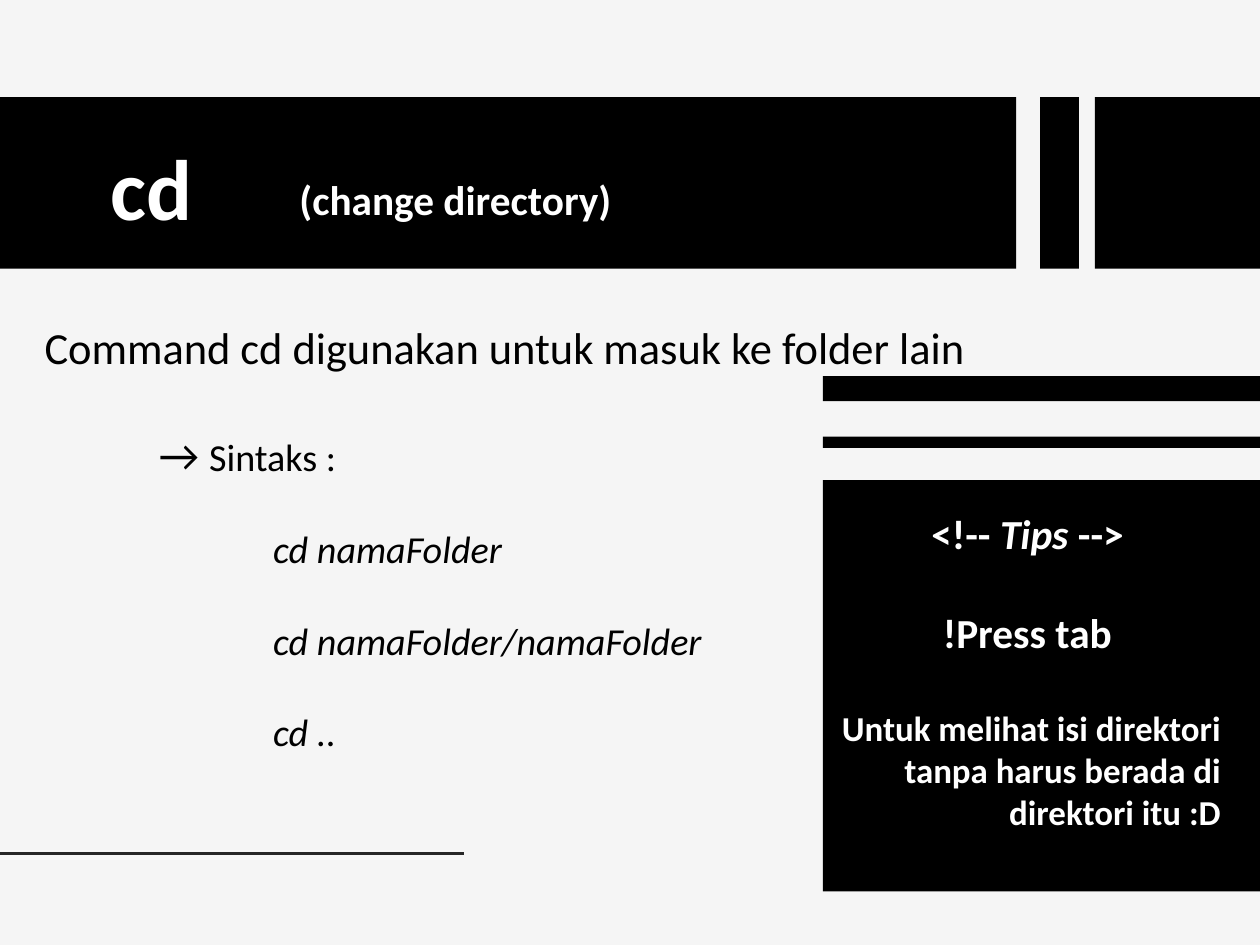
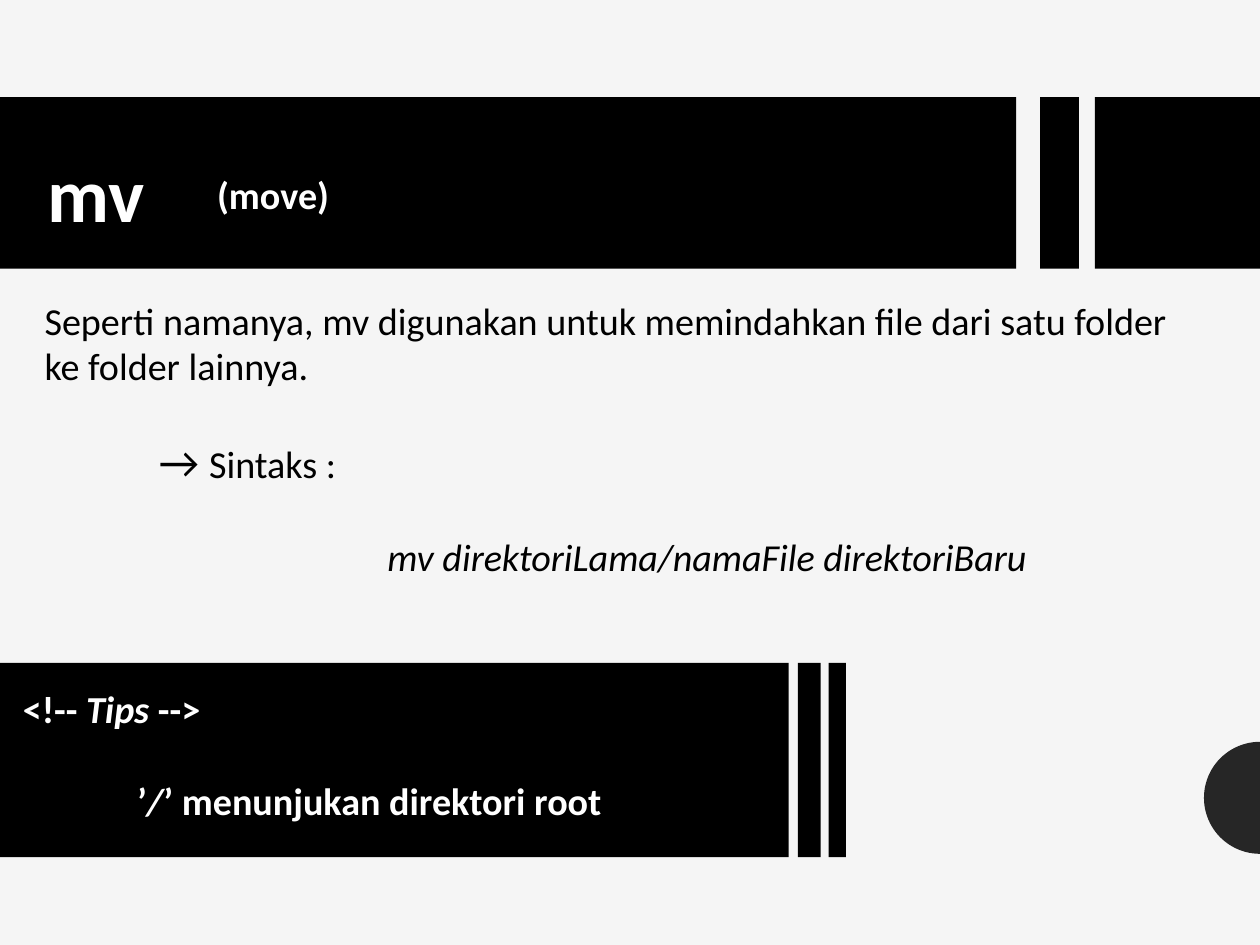
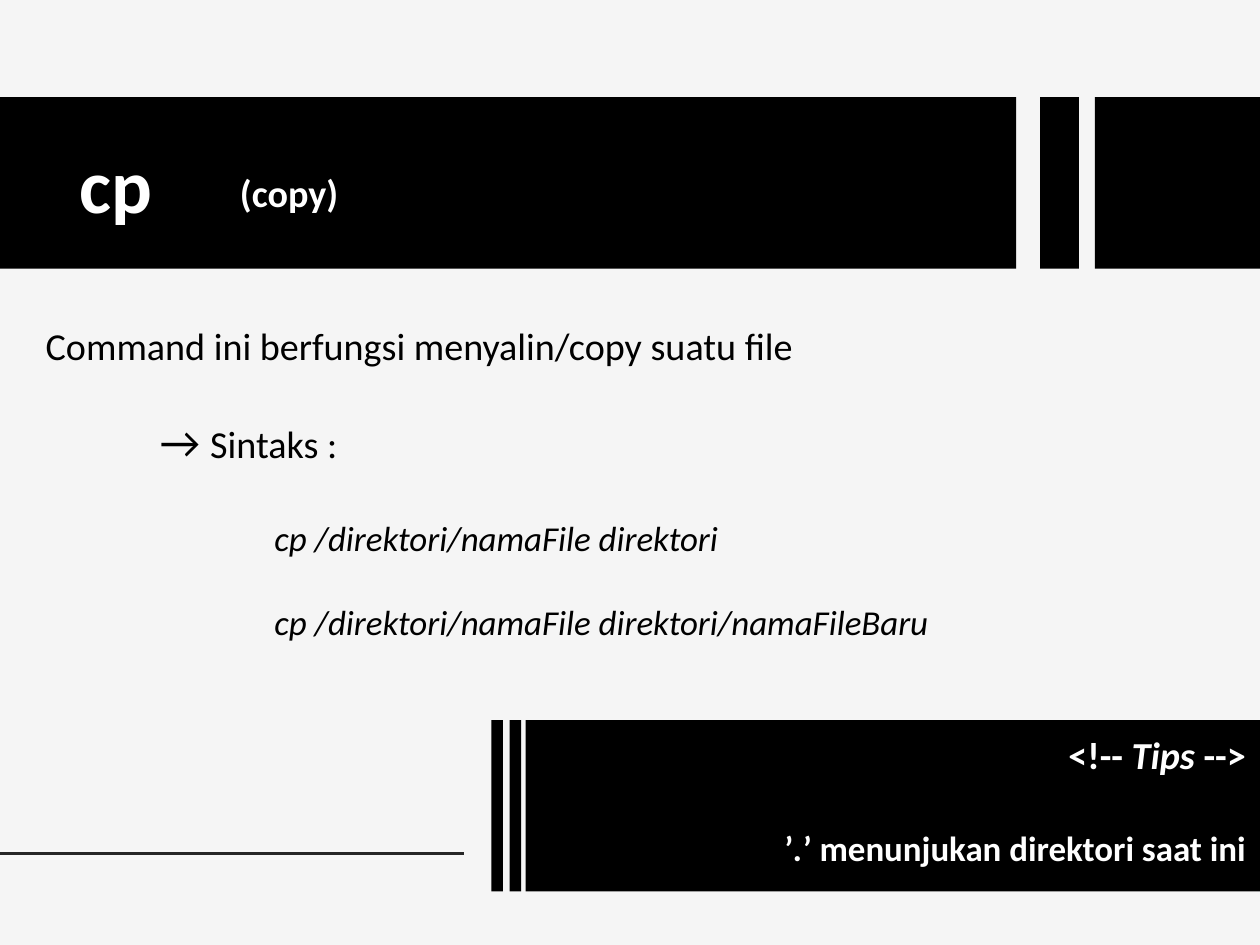
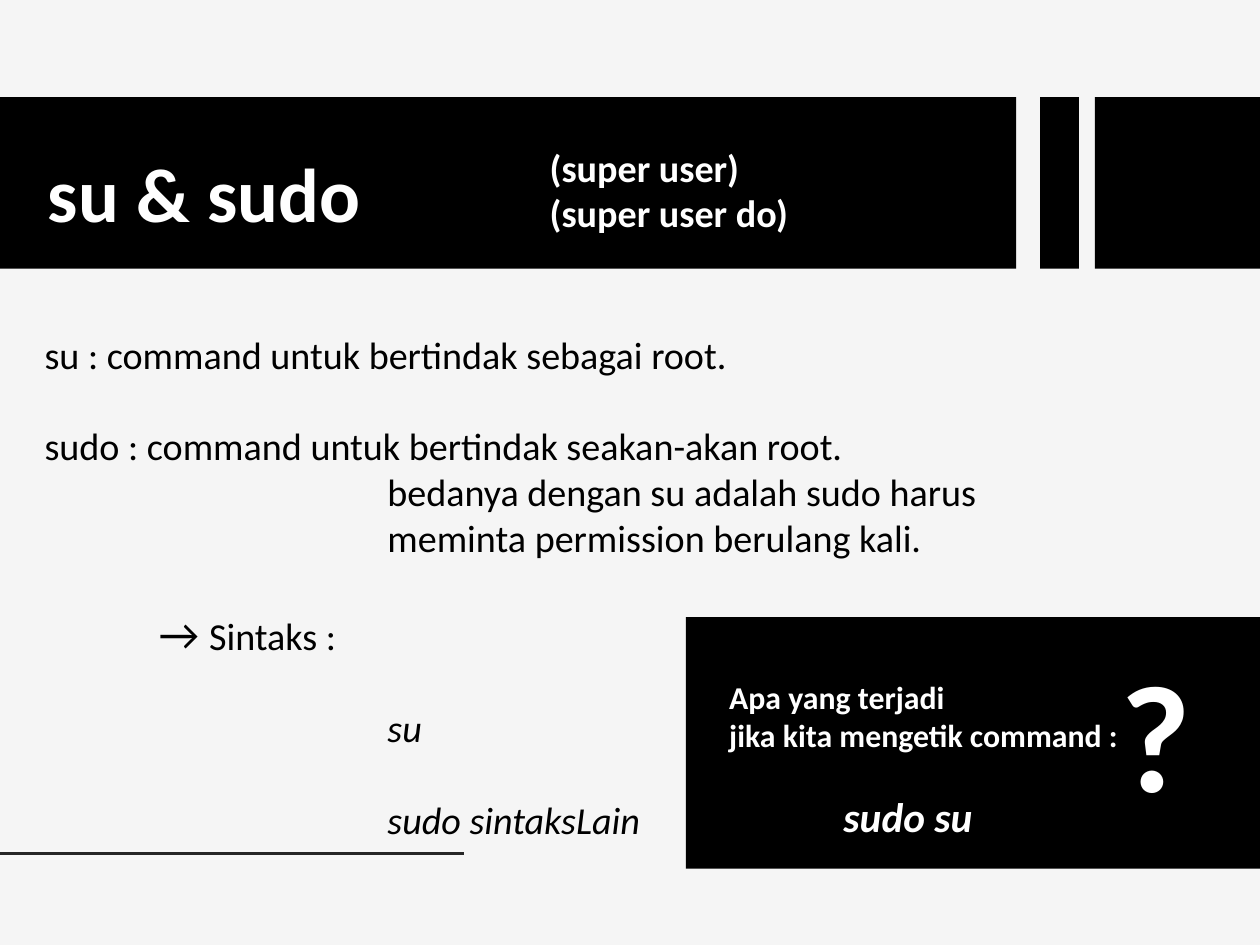
import math

import pptx
import pptx.dml.color
import pptx.enum.shapes
import pptx.enum.text
import pptx.oxml
import pptx.util

WIDTH_CM, HEIGHT_CM = 28, 21
WIDTH = WIDTH_CM / 2.54    # inches, as all other lengths
FONT = "Calibri"
PAPER, BLACK, WHITE, GREY = "F5F5F5", "000000", "FFFFFF", "262626"
TAB = 1.0                  # inches per indent level
LINE = 1.2                 # gap of one line as a share of the text size
TITLE_BAND = (0.85, 1.5)   # top, height
TITLE_BARS = [(0, 8.89), (9.1, 0.34), (9.58, WIDTH - 9.58)]   # left, width
RULE_Y, RULE_END = 7.47, 4.06
DISC_Y, DISC_RADIUS = 6.98, 0.49


def para(text, size=24, gap=0, level=0, italic=False, align="l"):
    """One paragraph; text is a string or a list of (text, size, italic); gap is in points."""
    runs = [(text, size, italic)] if isinstance(text, str) else text
    return {"runs": runs, "gap": gap, "level": level, "align": align}


def gap_of(size):
    return round(size * LINE, 1)


def tips_heading(size, align="l"):
    return para([("<!-- ", size, False), ("Tips", size, True), (" -->", size, False)],
                align=align)


def syntax_heading(gap):
    return para([("→ ", 28, False), ("Sintaks :", 24, False)], gap=gap, level=1)


GAP = gap_of(24)

SLIDES = [
    {
        "title": ("cd", 54, 0.97, 2.08),           # text, size, left, bottom
        "label": (["(change directory)"], 26, 2.62, 1.96),
        "rule": True,
        "body_at": (0.39, 2.8),
        "body": [
            para("Command cd digunakan untuk masuk ke folder lain", 28),
            syntax_heading(gap_of(28)),
            para("cd namaFolder", gap=GAP, level=2, italic=True),
            para("cd namaFolder/namaFolder", gap=GAP, level=2, italic=True),
            para("cd ..", gap=GAP, level=2, italic=True),
        ],
        "panels": [(7.2, top, WIDTH - 7.2, height)
                   for top, height in [(4.2, 3.6), (3.82, 0.1), (3.29, 0.22)]],
        "notes": [((7.3, 4.45, 3.38, 3.1), "top", [
            tips_heading(26, "c"),
            para("!Press tab", 26, gap=gap_of(26), align="c"),
            para("Untuk melihat isi direktori tanpa harus berada di direktori itu :D",
                 22, gap=gap_of(26), align="r"),
        ])],
    },
    {
        "title": ("mv", 48, 0.42, 2.08),
        "label": (["(move)"], 24, 1.9, 1.9),
        "disc": True,
        "body_at": (0.39, 2.6),
        "body": [
            para("Seperti namanya, mv digunakan untuk memindahkan file dari satu folder "
                 "ke folder lainnya."),
            syntax_heading(GAP),
            para("mv direktoriLama/namaFile direktoriBaru", gap=GAP, level=3, italic=True),
        ],
        "panels": [(left, 5.8, width, 1.7)
                   for left, width in [(0, 6.9), (6.98, 0.2), (7.25, 0.15)]],
        "notes": [((0.2, 6.1, 6.5, 1.1), "bottom", [
            tips_heading(24),
            para([("’", 24, False), ("/", 24, True), ("’ menunjukan direktori root", 24, False)],
                 gap=GAP, level=1),
        ])],
    },
    {
        "title": ("cp", 48, 0.7, 2.0),
        "label": (["(copy)"], 24, 2.1, 1.88),
        "rule": True,
        "body_at": (0.4, 2.82),
        "body": [
            para("Command ini berfungsi menyalin/copy suatu file"),
            syntax_heading(GAP),
            para("cp /direktori/namaFile direktori", 22, gap=31, level=2, italic=True),
            para("cp /direktori/namaFile direktori/namaFileBaru", 22, gap=gap_of(22),
                 level=2, italic=True),
        ],
        "panels": [(left, 6.3, width, 1.5)
                   for left, width in [(4.6, WIDTH - 4.6), (4.46, 0.1), (4.3, 0.1)]],
        "notes": [((3.9, 6.5, 7, 1.1), "bottom", [
            tips_heading(24, "r"),
            para([("’", 22, False), (".", 22, True),
                  ("’ menunjukan direktori saat ini", 22, False)], gap=31, align="r"),
        ])],
    },
    {
        "title": ("su & sudo", 48, 0.42, 2.08),
        "label": (["(super user)", "(super user do)"], 24, 4.81, 2.06),
        "rule": True,
        "body_at": (0.39, 2.9),
        "body": [
            para("su : command untuk bertindak sebagai root."),
            para("sudo : command untuk bertindak seakan-akan root.", gap=GAP),
            para("bedanya dengan su adalah sudo harus", level=3),
            para("meminta permission berulang kali.", level=3),
            syntax_heading(GAP),
            para("su", gap=GAP, level=3, italic=True),
            para("sudo sintaksLain", gap=GAP, level=3, italic=True),
        ],
        "panels": [(6, 5.4, WIDTH - 6, 2.2)],
        "notes": [
            ((6.38, 5.66, 3.6, 1.7), "bottom", [
                para("Apa yang terjadi", 20),
                para("jika kita mengetik command :", 20),
                para("sudo su", 26, gap=gap_of(20), level=1, italic=True),
            ]),
            ((9.8, 5.5, 1, 1.7), "bottom", [para("?", 96)]),
        ],
    },
]


def rgb(colour):
    return pptx.dml.color.RGBColor.from_string(colour)


def inches(values):
    return [pptx.util.Inches(value) for value in values]


def paint(shape, colour):
    shape.shadow.inherit = False
    shape.fill.solid()
    shape.fill.fore_color.rgb = rgb(colour)
    shape.line.fill.background()


def add_bar(slide, box):
    bar = slide.shapes.add_shape(pptx.enum.shapes.MSO_SHAPE.RECTANGLE, *inches(box))
    paint(bar, BLACK)


def add_text(slide, box, paragraphs, colour, anchor="top"):
    """Write paragraphs into a box without margins; white text is bold."""
    frame = slide.shapes.add_textbox(*inches(box)).text_frame
    frame.word_wrap = True
    frame.margin_left = frame.margin_right = frame.margin_top = frame.margin_bottom = 0
    frame.vertical_anchor = pptx.enum.text.MSO_ANCHOR[anchor.upper()]
    aligns = pptx.enum.text.PP_ALIGN
    for index, content in enumerate(paragraphs):
        paragraph = frame.add_paragraph() if index else frame.paragraphs[0]
        paragraph.alignment = {"l": aligns.LEFT, "c": aligns.CENTER,
                               "r": aligns.RIGHT}[content["align"]]
        paragraph.space_before = pptx.util.Pt(content["gap"])
        if content["level"]:
            indent = pptx.util.Inches(content["level"] * TAB)
            paragraph._p.get_or_add_pPr().set("marL", str(indent))
        for text, size, italic in content["runs"]:
            run = paragraph.add_run()
            run.text = text
            run.font.name = FONT
            run.font.size = pptx.util.Pt(size)
            run.font.italic = italic
            run.font.bold = colour == WHITE
            run.font.color.rgb = rgb(colour)


def add_rule(slide):
    rule = slide.shapes.add_connector(pptx.enum.shapes.MSO_CONNECTOR.STRAIGHT,
                                      *inches((0, RULE_Y, RULE_END, RULE_Y)))
    rule.line.color.rgb = rgb(GREY)
    rule.line.width = pptx.util.Pt(2)
    rule._element.spPr.append(pptx.oxml.parse_xml(
        '<a:effectLst xmlns:a="http://schemas.openxmlformats.org/drawingml/2006/main"/>'))


def add_half_disc(slide, steps=48):
    """Left half of a disc, cut off by the right edge of the slide."""
    angles = [math.pi * (0.5 + step / steps) for step in range(steps + 1)]
    points = [inches((WIDTH + DISC_RADIUS * math.cos(angle),
                      DISC_Y + DISC_RADIUS * math.sin(angle))) for angle in angles]
    outline = slide.shapes.build_freeform(*points[0])
    outline.add_line_segments(points[1:], close=True)
    paint(outline.convert_to_shape(), GREY)


def add_title(slide, title, label):
    top, height = TITLE_BAND
    for left, width in TITLE_BARS:
        add_bar(slide, (left, top, width, height))
    text, size, left, bottom = title
    add_text(slide, (left, bottom - 1, 4, 1), [para(text, size)], WHITE, "bottom")
    lines, size, left, bottom = label
    add_text(slide, (left, bottom - 1, 4, 1), [para(line, size) for line in lines],
             WHITE, "bottom")


def build_slide(deck, content):
    slide = deck.slides.add_slide(deck.slide_layouts[6])
    if content.get("rule"):
        add_rule(slide)
    if content.get("disc"):
        add_half_disc(slide)
    add_title(slide, content["title"], content["label"])
    left, top = content["body_at"]
    add_text(slide, (left, top, 10.04, 7.4 - top), content["body"], BLACK)
    for panel in content["panels"]:
        add_bar(slide, panel)
    for box, anchor, paragraphs in content["notes"]:
        add_text(slide, box, paragraphs, WHITE, anchor)


def main():
    deck = pptx.Presentation()
    deck.slide_width = pptx.util.Cm(WIDTH_CM)
    deck.slide_height = pptx.util.Cm(HEIGHT_CM)
    backdrop = deck.slide_master.background.fill
    backdrop.solid()
    backdrop.fore_color.rgb = rgb(PAPER)
    for content in SLIDES:
        build_slide(deck, content)
    deck.save("out.pptx")


if __name__ == "__main__":
    main()
